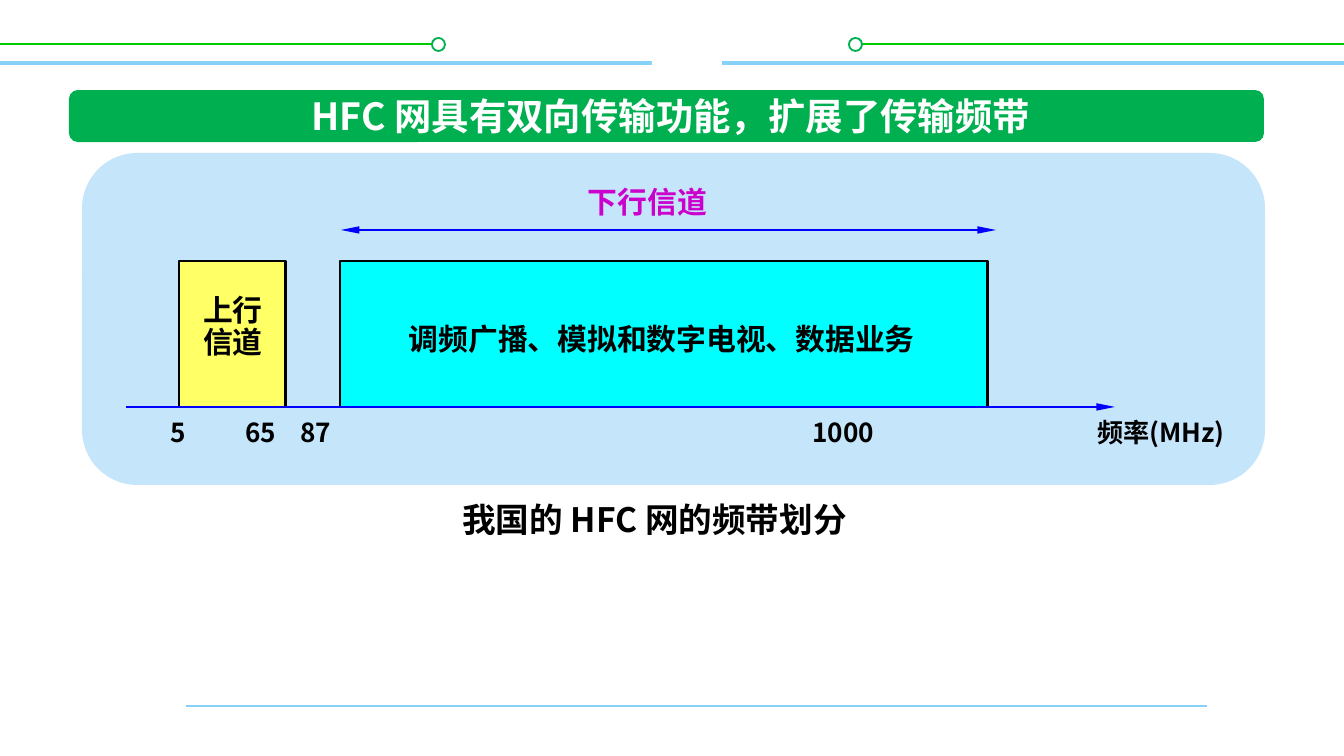
from dataclasses import dataclass

from lxml import etree
from pptx import Presentation
from pptx.dml.color import RGBColor
from pptx.enum.shapes import MSO_CONNECTOR, MSO_SHAPE
from pptx.enum.text import MSO_ANCHOR, PP_ALIGN
from pptx.oxml.ns import qn
from pptx.util import Pt

PX = 914400 / 134.4
FONT = "Noto Sans CJK SC"
STRAIGHT = MSO_CONNECTOR.STRAIGHT
RECT, ROUNDED, OVAL = MSO_SHAPE.RECTANGLE, MSO_SHAPE.ROUNDED_RECTANGLE, MSO_SHAPE.OVAL
TOP, MIDDLE = MSO_ANCHOR.TOP, MSO_ANCHOR.MIDDLE
LEFT, CENTER = PP_ALIGN.LEFT, PP_ALIGN.CENTER

WHITE = RGBColor(0xFF, 0xFF, 0xFF)
BLACK = RGBColor(0, 0, 0)
GREEN = RGBColor(0x00, 0xB0, 0x50)
LIME = RGBColor(0x00, 0xCC, 0x00)
SKY = RGBColor(0x85, 0xD1, 0xF7)
PALE_BLUE = RGBColor(0xC5, 0xE5, 0xFB)
BLUE = RGBColor(0x00, 0x00, 0xFF)
MAGENTA = RGBColor(0xCC, 0x00, 0xCC)
YELLOW = RGBColor(0xFF, 0xFF, 0x66)
CYAN = RGBColor(0x00, 0xFF, 0xFF)


@dataclass
class Box:
    left: int
    top: int
    width: int
    height: int

    def inner(self, left, top, width, height):
        """Return a box whose offset is measured from this one."""
        return Box(self.left + left, self.top + top, width, height)

    def emu(self):
        return [emu(n) for n in (self.left, self.top, self.width, self.height)]


def emu(pixels):
    return round(pixels * PX)


def add_block(page, kind, box, fill, line=None, weight=1.0):
    block = page.shapes.add_shape(kind, *box.emu())
    block.shadow.inherit = False
    block.fill.solid()
    block.fill.fore_color.rgb = fill
    if line is None:
        block.line.fill.background()
    else:
        block.line.color.rgb = line
        block.line.width = Pt(weight)
    return block


def add_rule(page, left, right, y, color, weight, arrows=()):
    """Draw a horizontal line; arrows names the ends that get a head."""
    rule = page.shapes.add_connector(STRAIGHT, emu(left), emu(y), emu(right), emu(y))
    rule.line.color.rgb = color
    rule.line.width = Pt(weight)
    line = rule.line._get_or_add_ln()
    for end in arrows:
        etree.SubElement(line, qn(f"a:{end}"), type="triangle", w="sm", len="lg")
    etree.SubElement(rule._element.spPr, qn("a:effectLst"))


def add_label(page, box, text, size, color=BLACK, align=CENTER, anchor=TOP,
              spacing=None, tabs=()):
    label = page.shapes.add_textbox(*box.emu())
    frame = label.text_frame
    frame.word_wrap = True
    frame.vertical_anchor = anchor
    frame.text = text
    for para in frame.paragraphs:
        para.alignment = align
        if spacing:
            para.line_spacing = spacing
        if tabs:
            tab_list = etree.SubElement(para._p.get_or_add_pPr(), qn("a:tabLst"))
            for stop in tabs:
                etree.SubElement(tab_list, qn("a:tab"), pos=str(emu(stop)), algn="l")
        for span in para.runs:
            span.font.name = FONT
            span.font.size = Pt(size)
            span.font.bold = True
            span.font.color.rgb = color
            etree.SubElement(span.font._element, qn("a:ea"), typeface=FONT)


def add_frame_lines(page, box):
    """Draw the rules and rings at the top and bottom of the page."""
    right = box.left + box.width
    ring = 13
    for start, end, ring_left in ((box.left, 435, 432), (849, right, 849)):
        add_rule(page, start, end, box.top + 44, LIME, 1)
        add_block(page, OVAL, box.inner(ring_left, 38, ring, ring), WHITE, GREEN)
    add_rule(page, box.left + 186, box.left + 1207, box.top + 706, SKY, 1.5)
    add_rule(page, box.left, right, box.top + 63, SKY, 2)
    add_block(page, RECT, box.inner(652, 19, 70, 69), WHITE)


def add_title(page, box):
    banner = add_block(page, ROUNDED, box, GREEN)
    banner.adjustments[0] = 0.17
    add_label(page, box.inner(115, 0, 974, box.height),
              "HFC 网具有双向传输功能，扩展了传输频带", 20, WHITE, anchor=MIDDLE)


def add_band_chart(page, box):
    """Draw the frequency axis with the upstream and downstream bands."""
    add_block(page, ROUNDED, box, PALE_BLUE)
    band_top, band_height = 108, 146
    axis = band_top + band_height
    add_rule(page, box.left + 259, box.left + 914, box.top + 77, BLUE, 1.5,
             ("headEnd", "tailEnd"))
    add_label(page, box.inner(484, 22, 163, 54), "下行信道", 16, MAGENTA, anchor=MIDDLE)

    for left, width, fill in ((97, 107, YELLOW), (258, 648, CYAN)):
        add_block(page, RECT, box.inner(left, band_top, width, band_height),
                  fill, BLACK, 1.5)
    add_label(page, box.inner(108, 136, 101, 79), "上行\n信道", 16,
              align=LEFT, spacing=0.9)
    add_label(page, box.inner(310, 161, 540, 50),
              "调频广播、模拟和数字电视、数据业务", 16)

    add_label(page, box.inner(75, axis + 3, 913, 46), "5\t65\t87\t1000", 14,
              align=LEFT, tabs=(75, 130, 642))
    add_label(page, box.inner(1002, axis + 3, 170, 46), "频率(MHz)", 14, align=LEFT)
    add_rule(page, box.left + 44, box.left + 1033, box.top + axis, BLUE, 1.5,
             ("tailEnd",))


def main():
    deck = Presentation()
    deck.slide_width, deck.slide_height = emu(1344), emu(756)
    page = deck.slides.add_slide(deck.slide_layouts[6])
    add_frame_lines(page, Box(0, 0, 1344, 756))
    add_title(page, Box(69, 90, 1195, 52))
    add_band_chart(page, Box(82, 153, 1183, 332))
    add_label(page, Box(430, 492, 449, 54), "我国的 HFC 网的频带划分", 18)
    deck.save("out.pptx")


if __name__ == "__main__":
    main()
